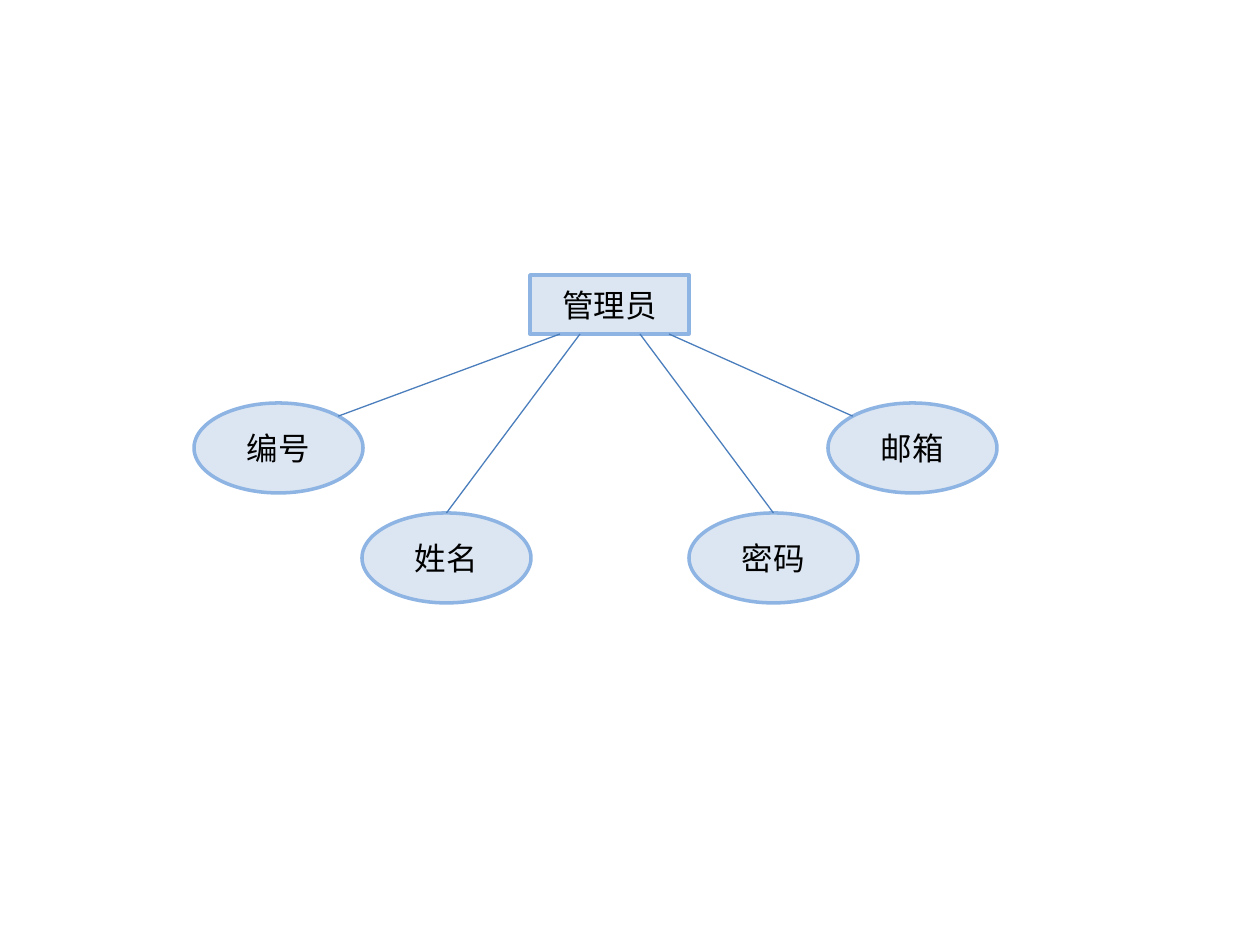
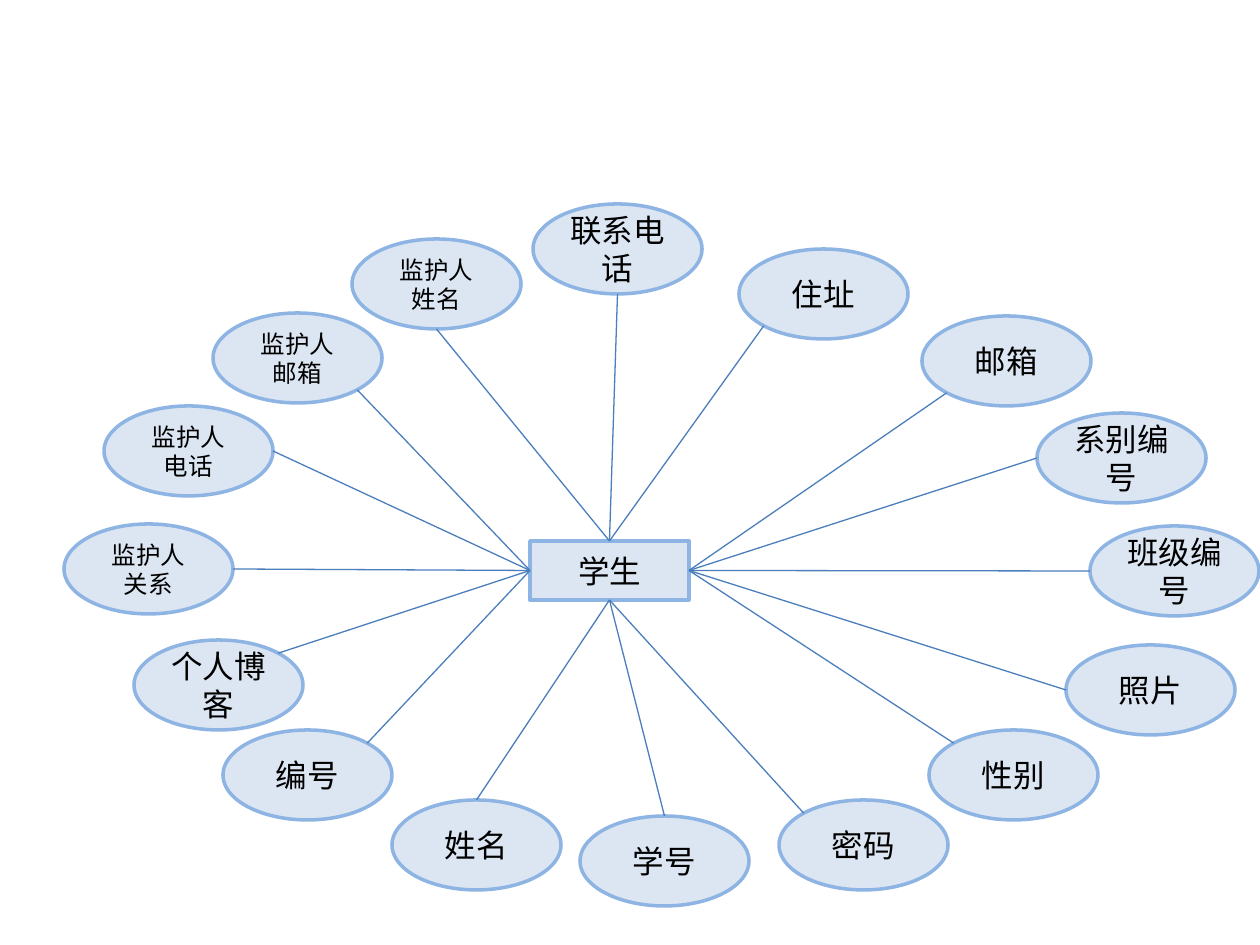
from dataclasses import dataclass
from enum import IntEnum
import math

import lxml.etree
import pptx
import pptx.dml.color
import pptx.enum.shapes
import pptx.enum.text
import pptx.oxml.ns
import pptx.shapes.autoshape
import pptx.slide
import pptx.util

SCALE = 914400 / 126
FONT = "Noto Sans CJK SC"
FILL = pptx.dml.color.RGBColor(0xDC, 0xE6, 0xF2)
EDGE = pptx.dml.color.RGBColor(0x8E, 0xB4, 0xE3)
LINK = pptx.dml.color.RGBColor(0x4B, 0x7E, 0xBC)
INK = pptx.dml.color.RGBColor(0, 0, 0)

BOX_W, BOX_H = 159, 59
OVAL_W, OVAL_H = 169, 90
BIG, SMALL = 18, 14

NORTH = (BOX_W / 2, 0)
SOUTH = (BOX_W / 2, BOX_H)
WEST = (0, BOX_H / 2)
EAST = (BOX_W, BOX_H / 2)


class Side(IntEnum):
    RIGHT = 0
    LOW_RIGHT = 1
    LOW = 2
    LOW_LEFT = 3
    LEFT = 4
    TOP_LEFT = 5
    TOP = 6
    TOP_RIGHT = 7


@dataclass(frozen=True)
class Field:
    text: str
    x: int
    y: int
    side: Side
    port: tuple[float, float]
    size: int = BIG

    def joint(self) -> tuple[float, float]:
        turn = self.side * math.pi / 4
        return (self.x + OVAL_W / 2 * (1 + math.cos(turn)),
                self.y + OVAL_H / 2 * (1 + math.sin(turn)))


@dataclass(frozen=True)
class Entity:
    text: str
    x: int
    y: int
    fields: list[Field]


ADMIN = Entity("管理员", 530, 275, [
    Field("编号", 194, 403, Side.TOP_RIGHT, (30, BOX_H)),
    Field("姓名", 362, 513, Side.TOP, (50, BOX_H)),
    Field("邮箱", 828, 403, Side.TOP_LEFT, (139, BOX_H)),
    Field("密码", 689, 513, Side.TOP, (110, BOX_H)),
])

STUDENT = Entity("学生", 530, 541, [
    Field("编号", 223, 730, Side.TOP_RIGHT, WEST),
    Field("姓名", 392, 800, Side.TOP, SOUTH),
    Field("系别编号", 1037, 413, Side.LEFT, EAST),
    Field("密码", 779, 800, Side.TOP_LEFT, SOUTH),
    Field("学号", 580, 816, Side.TOP, SOUTH),
    Field("监护人电话", 104, 406, Side.RIGHT, WEST, SMALL),
    Field("监护人邮箱", 213, 313, Side.LOW_RIGHT, WEST, SMALL),
    Field("监护人姓名", 352, 239, Side.LOW, NORTH, SMALL),
    Field("联系电话", 533, 204, Side.LOW, NORTH),
    Field("住址", 739, 249, Side.LOW_LEFT, NORTH),
    Field("班级编号", 1090, 526, Side.LEFT, EAST),
    Field("照片", 1066, 645, Side.LEFT, EAST),
    Field("性别", 929, 730, Side.TOP_LEFT, EAST),
    Field("邮箱", 922, 316, Side.LOW_LEFT, EAST),
    Field("个人博客", 134, 640, Side.TOP_RIGHT, WEST),
    Field("监护人关系", 64, 524, Side.RIGHT, WEST, SMALL),
])


def emu(*pixels: float) -> list[pptx.util.Emu]:
    return [pptx.util.Emu(round(pixel * SCALE)) for pixel in pixels]


def write(shape: pptx.shapes.autoshape.Shape, text: str, size: int) -> None:
    frame = shape.text_frame
    frame.word_wrap = True
    frame.vertical_anchor = pptx.enum.text.MSO_ANCHOR.MIDDLE
    line = frame.paragraphs[0]
    line.alignment = pptx.enum.text.PP_ALIGN.CENTER
    run = line.add_run()
    run.text = text
    run.font.size = pptx.util.Pt(size)
    run.font.name = FONT
    run.font.color.rgb = INK
    props = run.font._element
    east = lxml.etree.SubElement(props, pptx.oxml.ns.qn("a:ea"))
    east.set("typeface", FONT)


def draw_node(slide: pptx.slide.Slide, kind: pptx.enum.shapes.MSO_SHAPE,
              x: int, y: int, wide: int, high: int,
              text: str, size: int) -> None:
    shape = slide.shapes.add_shape(kind, *emu(x, y, wide, high))
    shape.shadow.inherit = False
    shape.fill.solid()
    shape.fill.fore_color.rgb = FILL
    shape.line.color.rgb = EDGE
    shape.line.width = pptx.util.Pt(2)
    write(shape, text, size)


def draw_link(slide: pptx.slide.Slide, start: tuple[float, float],
              end: tuple[float, float]) -> None:
    link = slide.shapes.add_connector(
        pptx.enum.shapes.MSO_CONNECTOR.STRAIGHT, *emu(*start, *end))
    link.line.color.rgb = LINK
    link.line.width = pptx.util.Pt(0.75)
    lxml.etree.SubElement(link._element.spPr, pptx.oxml.ns.qn("a:effectLst"))


def draw_entity(deck: pptx.presentation.Presentation, entity: Entity) -> None:
    slide = deck.slides.add_slide(deck.slide_layouts.get_by_name("Blank"))
    shapes = pptx.enum.shapes.MSO_SHAPE
    draw_node(slide, shapes.RECTANGLE, entity.x, entity.y,
              BOX_W, BOX_H, entity.text, BIG)
    for field in entity.fields:
        draw_node(slide, shapes.OVAL, field.x, field.y,
                  OVAL_W, OVAL_H, field.text, field.size)
    for field in entity.fields:
        across, down = field.port
        draw_link(slide, (entity.x + across, entity.y + down), field.joint())


def main() -> None:
    deck = pptx.Presentation()
    deck.slide_width, deck.slide_height = emu(1260, 945)
    for entity in (ADMIN, STUDENT):
        draw_entity(deck, entity)
    deck.save("out.pptx")


main()
